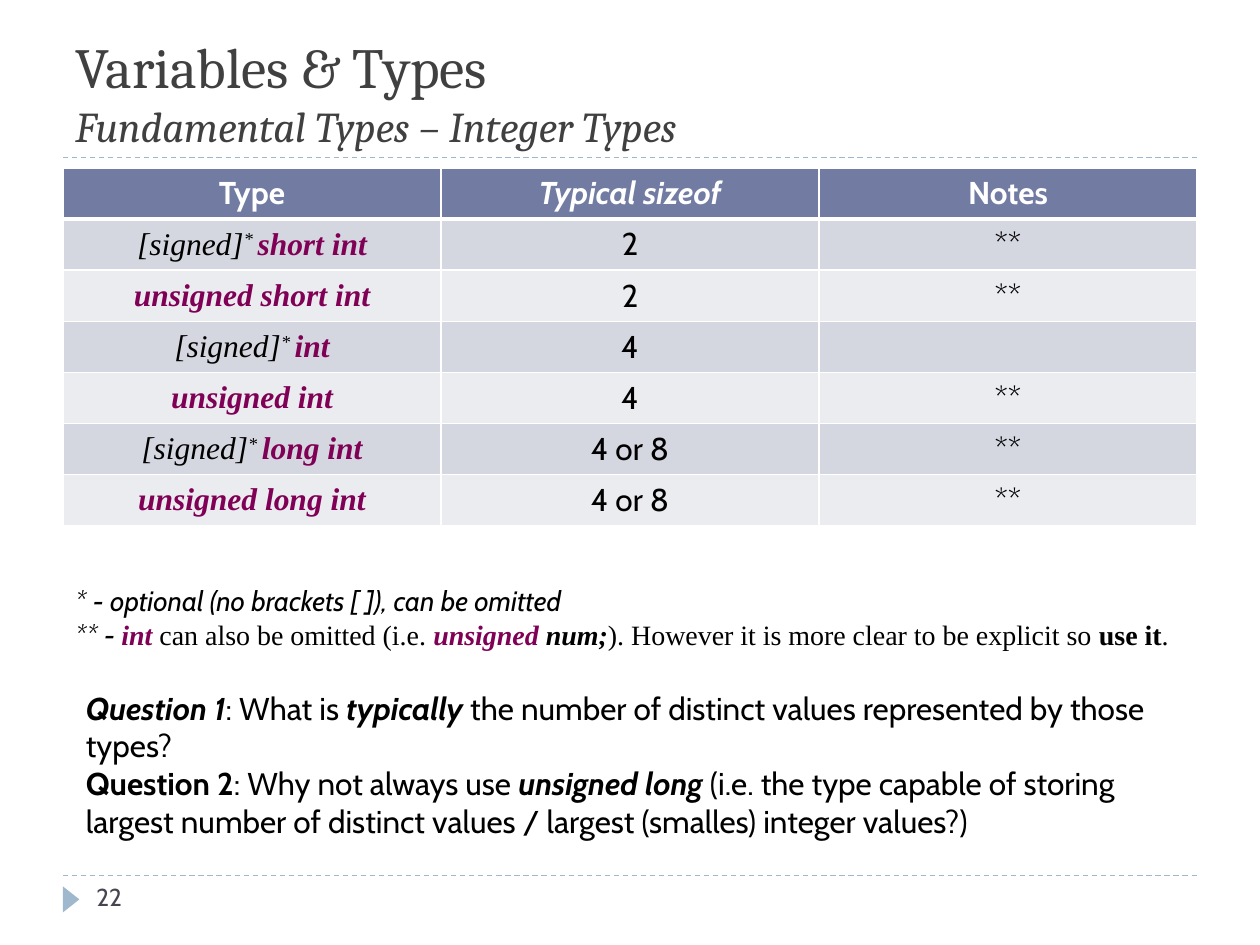
import dataclasses

import lxml.etree
import pptx
import pptx.dml.color
import pptx.enum.dml
import pptx.enum.shapes
import pptx.enum.text
import pptx.oxml.ns
import pptx.util

Pt = pptx.util.Pt
ALIGN = pptx.enum.text.PP_ALIGN
ANCHOR = pptx.enum.text.MSO_ANCHOR


@dataclasses.dataclass(frozen=True)
class Theme:
    heading_font: str = "Cambria"
    body_font: str = "Cabin"
    code_font: str = "Times New Roman"
    heading: str = "404040"
    body: str = "000000"
    keyword: str = "7F0055"
    number: str = "464653"
    accent: str = "9FB8CD"
    header_fill: str = "727CA3"
    band_fills: tuple = ("D5D7E0", "EBECF0")
    white: str = "FFFFFF"
    title_size: float = 32.4
    subtitle_size: float = 24.3
    body_size: float = 18
    note_size: float = 16
    number_size: float = 14


THEME = Theme()
BOLD = dict(bold=True)
ITALIC = dict(italic=True)
STRONG = dict(bold=True, italic=True)
CODE = dict(font=THEME.code_font)
CODE_ITALIC = dict(CODE, **ITALIC)
KEYWORD = dict(CODE, **STRONG, color=THEME.keyword)


def rgb(value):
    return pptx.dml.color.RGBColor.from_string(value)


def add_run(paragraph, text, font=THEME.body_font, size=THEME.body_size,
            color=THEME.body, bold=False, italic=False, raised=False):
    run = paragraph.add_run()
    run.text = text
    run.font.name = font
    run.font.size = Pt(size)
    run.font.color.rgb = rgb(color)
    run.font.bold = bold
    run.font.italic = italic
    if raised:
        run.font._element.set("baseline", "30000")


def write_text(frame, paragraphs, align=ALIGN.LEFT, anchor=ANCHOR.TOP, **style):
    frame.word_wrap = True
    frame.vertical_anchor = anchor
    for index, runs in enumerate(paragraphs):
        paragraph = frame.add_paragraph() if index else frame.paragraphs[0]
        paragraph.alignment = align
        for text, changes in runs:
            if text == "\n":
                paragraph.add_line_break()
            else:
                add_run(paragraph, text, **{**style, **changes})


def add_text(slide, box, paragraphs, **style):
    shape = slide.shapes.add_textbox(*map(Pt, box))
    write_text(shape.text_frame, paragraphs, **style)


def add_rule(slide, left, top, width):
    connector = slide.shapes.add_connector(
        pptx.enum.shapes.MSO_CONNECTOR.STRAIGHT,
        Pt(left), Pt(top), Pt(left + width), Pt(top))
    connector.line.color.rgb = rgb(THEME.accent)
    connector.line.width = Pt(0.75)
    connector.line.dash_style = pptx.enum.dml.MSO_LINE.DASH
    lxml.etree.SubElement(connector._element.spPr, pptx.oxml.ns.qn("a:effectLst"))


def add_title(slide, box):
    left, top, width, height = box
    add_text(slide, box, [[
        ("Variables & Types", {}), ("\n", {}),
        ("Fundamental Types – Integer Types", dict(size=THEME.subtitle_size, italic=True)),
    ]], anchor=ANCHOR.BOTTOM, font=THEME.heading_font, size=THEME.title_size,
        color=THEME.heading)
    add_rule(slide, left, top + height, width)


def set_borders(cell, bottom_width):
    properties = cell._tc.get_or_add_tcPr()
    for side, width in dict(L=1, R=1, T=1, B=bottom_width).items():
        line = lxml.etree.SubElement(
            properties, pptx.oxml.ns.qn(f"a:ln{side}"), w=str(int(Pt(width))))
        fill = lxml.etree.SubElement(line, pptx.oxml.ns.qn("a:solidFill"))
        lxml.etree.SubElement(fill, pptx.oxml.ns.qn("a:srgbClr"), val=THEME.white)


def fill_cell(cell, runs, fill, bottom_width=1, **style):
    set_borders(cell, bottom_width)
    cell.fill.solid()
    cell.fill.fore_color.rgb = rgb(fill)
    write_text(cell.text_frame, [runs], align=ALIGN.CENTER, **style)
    cell.vertical_anchor = ANCHOR.MIDDLE


def add_type_table(slide, box):
    header = [("Type", {}), ("Typical sizeof", ITALIC), ("Notes", {})]
    rows = [("short int", "2", "**"), ("int", "4", ""), ("long int", "4 or 8", "**")]
    left, top, width, height = box
    row_count = 1 + 2 * len(rows)
    table = slide.shapes.add_table(row_count, len(header), *map(Pt, box)).table
    for column in table.columns:
        column.width = Pt(width / len(header))
    for row in table.rows:
        row.height = Pt(height / row_count)

    for column, run in enumerate(header):
        fill_cell(table.cell(0, column), [run], THEME.header_fill, 3,
                  color=THEME.white, bold=True)
    for index, (name, size, note) in enumerate(rows):
        signed = [("[signed]", CODE_ITALIC), ("* ", dict(CODE_ITALIC, raised=True)),
                  (name, KEYWORD)]
        unsigned = [("unsigned " + name, KEYWORD)]
        variants = [(signed, note), (unsigned, "**")]
        for offset, (type_runs, mark) in enumerate(variants):
            contents = [type_runs, [(size, {})], [(mark, {})] if mark else []]
            for column, runs in enumerate(contents):
                fill_cell(table.cell(1 + 2 * index + offset, column), runs,
                          THEME.band_fills[offset])


def add_footnotes(slide, box):
    add_text(slide, box, [
        [("* - optional (no brackets [ ]), can be omitted", ITALIC)],
        [("** - ", ITALIC), ("int ", KEYWORD),
         ("can also be omitted (i.e. ", CODE), ("unsigned ", KEYWORD),
         ("num;", dict(CODE, **STRONG)),
         ("). However it is more clear to be explicit so ", CODE),
         ("use it", dict(CODE, **BOLD)), (".", CODE)],
    ], size=THEME.note_size)


def add_questions(slide, box):
    add_text(slide, box, [
        [("Question 1", STRONG), (": What is ", {}), ("typically", STRONG),
         (" the number of distinct values represented by those types?", {})],
        [("Question 2", BOLD), (": Why not always use ", {}),
         ("unsigned long ", STRONG),
         ("(i.e. the type capable of storing largest number of distinct values"
          " / largest (smalles) integer values?)", {})],
    ])


def add_footer(slide, box):
    left, top, width, height = box
    add_rule(slide, left, top, width)
    marker = slide.shapes.add_shape(
        pptx.enum.shapes.MSO_SHAPE.ISOSCELES_TRIANGLE,
        Pt(left - 2.9), Pt(top + 8.8), Pt(15), Pt(9.5))
    marker.rotation = 90
    marker.shadow.inherit = False
    marker.fill.solid()
    marker.fill.fore_color.rgb = rgb(THEME.accent)
    marker.line.fill.background()
    add_text(slide, (left + 12, top, 156, height), [[("22", {})]],
             size=THEME.number_size, color=THEME.number)


def main():
    presentation = pptx.Presentation()
    presentation.slide_width = Pt(720)
    presentation.slide_height = Pt(540)
    slide = presentation.slides.add_slide(presentation.slide_layouts[6])
    add_title(slide, (36, 12, 648, 78))
    add_type_table(slide, (36, 96, 648, 204.4))
    add_footnotes(slide, (36, 330, 648, 46))
    add_questions(slide, (42, 390, 636, 94.5))
    add_footer(slide, (36, 500.4, 648, 28.8))
    presentation.save("out.pptx")


if __name__ == "__main__":
    main()
